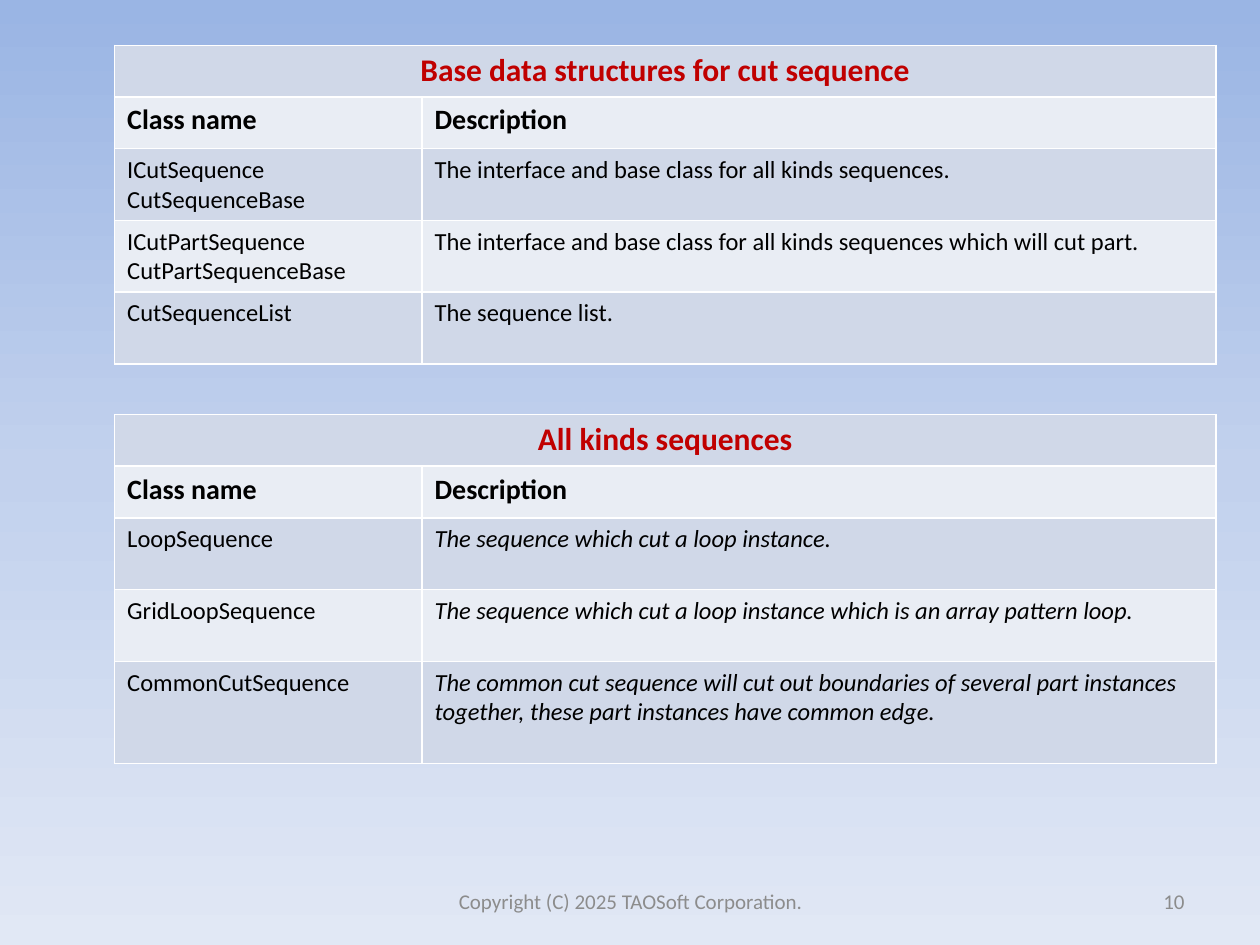
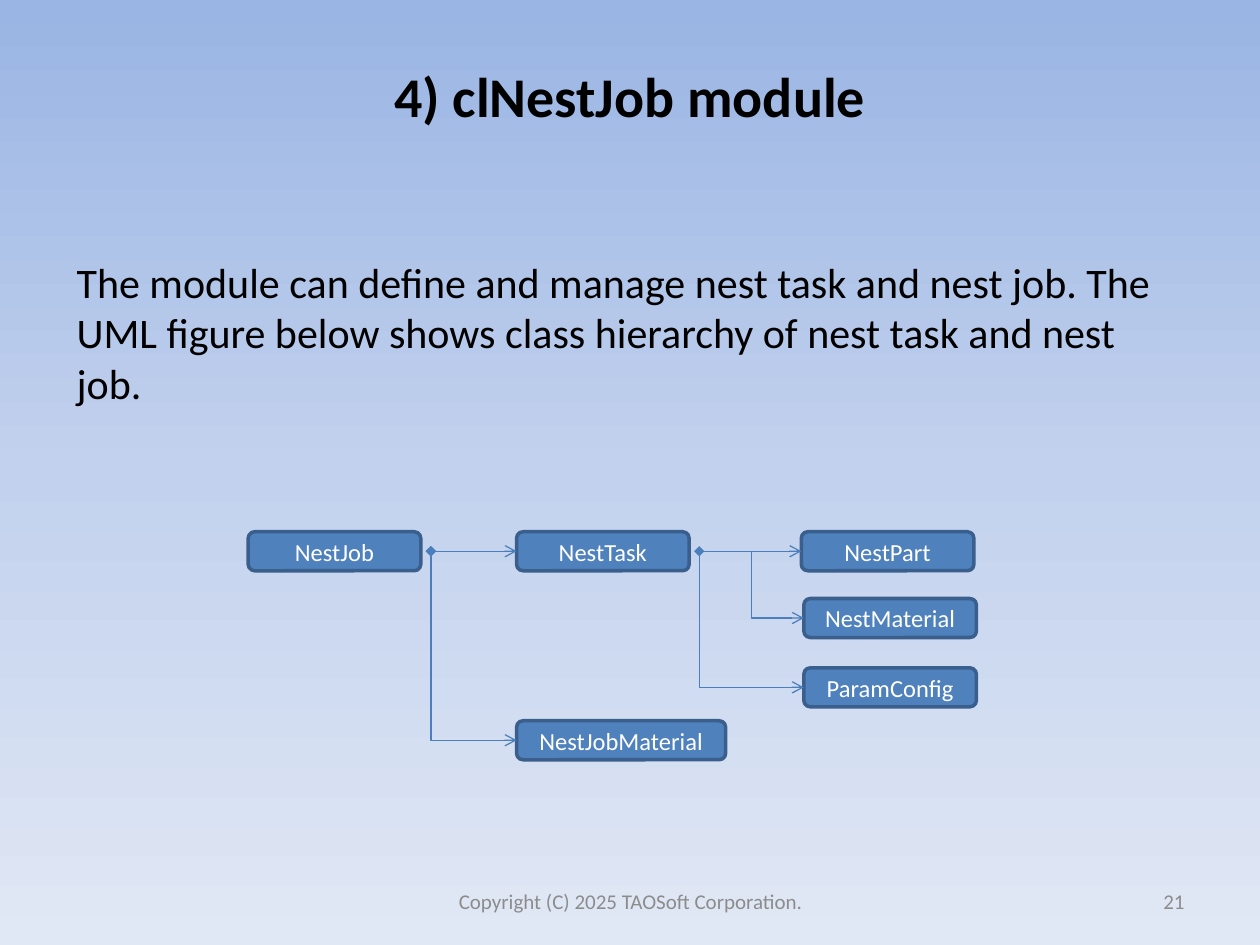
from copy import deepcopy

from lxml import etree
from pptx import Presentation
from pptx.dml.color import RGBColor
from pptx.enum import shapes, text
from pptx.oxml import ns
from pptx.util import Inches, Pt

HUES = {
    "top": "9AB5E4", "mid": "C2D1ED", "base": "E1E8F5",
    "ink": "000000", "red": "C00000", "gray": "8C8C8C", "white": "FFFFFF",
    "dark": "D0D8E8", "light": "E9EDF4",
    "node": "4F81BD", "edge": "3A5F8C", "link": "4B7EBC",
}
LEFT, MID, RIGHT = text.PP_ALIGN.LEFT, text.PP_ALIGN.CENTER, text.PP_ALIGN.RIGHT

# Text styles: size, hue, alignment and extra font values
STYLES = {
    "title": (32, "ink", MID, {"bold": True}),
    "body": (24, "ink", LEFT, {}),
    "foot": (12, "gray", MID, {}),
    "page": (12, "gray", RIGHT, {}),
    "head": (18, "red", MID, {"bold": True}),
    "label": (16, "ink", LEFT, {"bold": True}),
    "cell": (14, "ink", LEFT, {}),
    "slant": (14, "ink", LEFT, {"italic": True}),
    "node": (14, "white", MID, {}),
}

FOOT = "Copyright (C) 2025 TAOSoft Corporation."
LABELS = ("Class name", "Description")
COLS = (2.44, 6.3)

BASES = [
    ("ICutSequence\nCutSequenceBase",
     "The interface and base class for all kinds sequences."),
    ("ICutPartSequence\nCutPartSequenceBase",
     "The interface and base class for all kinds sequences which will cut part."),
    ("CutSequenceList", "The sequence list."),
]
KINDS = [
    ("LoopSequence", "The sequence which cut a loop instance."),
    ("GridLoopSequence",
     "The sequence which cut a loop instance which is an array pattern loop."),
    ("CommonCutSequence",
     "The common cut sequence will cut out boundaries of several part instances "
     "together, these part instances have common edge."),
]

# Class boxes: left and top within the diagram, width
NODES = {
    "NestJob": (0, 0, 1.37),
    "NestTask": (2.13, 0, 1.37),
    "NestPart": (4.39, 0, 1.37),
    "NestMaterial": (4.41, 0.53, 1.37),
    "ParamConfig": (4.41, 1.08, 1.37),
    "NestJobMaterial": (2.13, 1.5, 1.66),
}
TALL, GAP = 0.31, 0.08

# Links: owner, part, elbow preset, diamond at the owner
LINKS = [
    ("NestTask", "NestPart", 3, False),
    ("NestTask", "NestMaterial", 3, False),
    ("NestTask", "ParamConfig", 2, True),
    ("NestJob", "NestTask", 3, True),
    ("NestJob", "NestJobMaterial", 2, True),
]


def hue(name):
    return RGBColor.from_string(HUES[name])


def inches(*sizes):
    return [Inches(size) for size in sizes]


def write(frame, words, style):
    size, tint, align, extra = STYLES[style]
    frame.text = words
    for para in frame.paragraphs:
        para.alignment = align
        para.font.color.rgb = hue(tint)
        for key, value in {"name": "Calibri", "size": Pt(size), **extra}.items():
            setattr(para.font, key, value)


def add_text(slide, box, words, style, drop=0.05):
    """Text in the middle of a box, with a bottom inset of drop."""
    frame = slide.shapes.add_textbox(*inches(*box)).text_frame
    frame.word_wrap = True
    frame.vertical_anchor = text.MSO_ANCHOR.MIDDLE
    frame.margin_bottom = Inches(drop)
    write(frame, words, style)


def paint_back(master):
    """Three-stop gradient, top to bottom, for every slide."""
    fill = master.background.fill
    fill.gradient()
    fill.gradient_angle = 270
    stops = next(master.element.iter(ns.qn("a:gsLst")))
    stops.insert(1, deepcopy(stops[0]))
    for stop, name, place in zip(fill.gradient_stops, ("top", "mid", "base"), (0, 0.5, 1)):
        stop.color.rgb = hue(name)
        stop.position = place


def add_foot(slide, page):
    add_text(slide, (3.42, 6.95, 3.17, 0.4), FOOT, "foot")
    add_text(slide, (7.17, 6.95, 2.33, 0.4), page, "page")


def rule_cell(cell):
    """White border on all four sides."""
    props = cell._tc.get_or_add_tcPr()
    for spot, side in enumerate(("lnL", "lnR", "lnT", "lnB")):
        line = etree.Element(ns.qn(f"a:{side}"), w=str(Pt(1)))
        fill = etree.SubElement(line, ns.qn("a:solidFill"))
        etree.SubElement(fill, ns.qn("a:srgbClr"), val=HUES["white"])
        props.insert(spot, line)


def add_grid(slide, box, head, rows, highs, style):
    """Class table: heading row, label row, then one row for each class."""
    left, top = box
    data = [(head, ""), LABELS, *rows]
    highs = (0.41, 0.41, *highs)
    size = inches(left, top, sum(COLS), sum(highs))
    grid = slide.shapes.add_table(len(data), len(COLS), *size).table
    for col, wide in zip(grid.columns, COLS):
        col.width = Inches(wide)
    for i, (row, high) in enumerate(zip(data, highs)):
        grid.rows[i].height = Inches(high)
        looks = {0: ("head", "head"), 1: ("label", "label")}.get(i, ("cell", style))
        for j, (words, look) in enumerate(zip(row, looks)):
            cell = grid.cell(i, j)
            cell.fill.solid()
            cell.fill.fore_color.rgb = hue("light" if i % 2 else "dark")
            rule_cell(cell)
            if words:
                write(cell.text_frame, words, look)
    grid.cell(0, 0).merge(grid.cell(0, 1))


def add_node(slide, box, name):
    node = slide.shapes.add_shape(shapes.MSO_SHAPE.ROUNDED_RECTANGLE, *inches(*box))
    node.shadow.inherit = False
    node.fill.solid()
    node.fill.fore_color.rgb = hue("node")
    node.line.color.rgb = hue("edge")
    node.line.width = Pt(2)
    node.text_frame.vertical_anchor = text.MSO_ANCHOR.MIDDLE
    write(node.text_frame, name, "node")


def add_link(slide, start, end, bend, owns):
    """Elbow from start to end; bend 2 goes down first, then across."""
    (x1, y1), (x2, y2) = start, end
    if bend == 2:  # a quarter turn about the centre
        cx, cy, dx, dy = (x1 + x2) / 2, (y1 + y2) / 2, (x2 - x1) / 2, (y2 - y1) / 2
        x1, y1, x2, y2 = cx + dy, cy - dx, cx - dy, cy + dx
    link = slide.shapes.add_connector(shapes.MSO_CONNECTOR.ELBOW, *inches(x1, y1, x2, y2))
    link.line.color.rgb = hue("link")
    link.line.width = Pt(0.75)
    props = link._element.spPr
    if bend == 2:
        props.find(ns.qn("a:xfrm")).set("rot", str(270 * 60000))
        props.find(ns.qn("a:prstGeom")).set("prst", "bentConnector2")
    line = props.find(ns.qn("a:ln"))
    if owns:
        etree.SubElement(line, ns.qn("a:headEnd"), type="diamond")
    etree.SubElement(line, ns.qn("a:tailEnd"), type="arrow")
    etree.SubElement(props, ns.qn("a:effectLst"))


def add_chart(slide, box):
    """Class diagram: the boxes, then links from right side to left side."""
    left, top = box
    spots = {name: (left + x, top + y, wide) for name, (x, y, wide) in NODES.items()}
    for name, (x, y, wide) in spots.items():
        add_node(slide, (x, y, wide, TALL), name)
    for owner, part, bend, owns in LINKS:
        x, y, wide = spots[owner]
        to_x, to_y, _ = spots[part]
        start = (x + wide + GAP, y + TALL / 2)
        add_link(slide, start, (to_x, to_y + TALL / 2), bend, owns)


def main():
    deck = Presentation()
    deck.slide_width, deck.slide_height = inches(10, 7.5)
    paint_back(deck.slide_master)
    blank = deck.slide_layouts[6]

    # Class tables
    slide = deck.slides.add_slide(blank)
    add_foot(slide, "10")
    add_grid(slide, (0.91, 0.36), "Base data structures for cut sequence",
             BASES, (0.57, 0.57, 0.57), "cell")
    add_grid(slide, (0.91, 3.29), "All kinds sequences",
             KINDS, (0.57, 0.57, 0.81), "slant")

    # Module with its class diagram
    slide = deck.slides.add_slide(blank)
    add_text(slide, (0.5, 0.3, 9, 1.25), "4) clNestJob module", "title", 0.39)
    add_foot(slide, "21")
    add_text(slide, (0.51, 1.78, 9, 1.97),
             "The module can define and manage nest task and nest job. The UML figure "
             "below shows class hierarchy of nest task and nest job.", "body", 0.31)
    add_chart(slide, (1.97, 4.22))
    deck.save("out.pptx")


if __name__ == "__main__":
    main()
